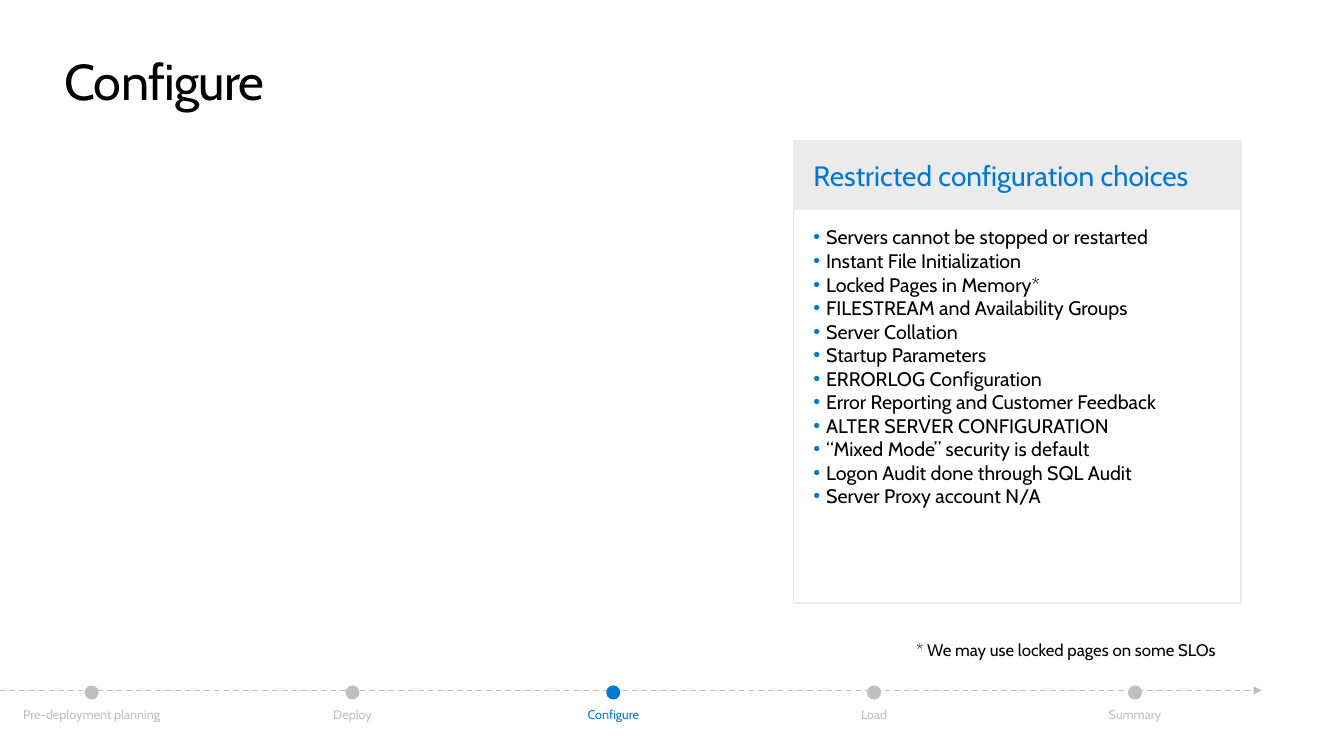
from pptx import Presentation
from pptx.dml.color import RGBColor
from pptx.enum.dml import MSO_LINE
from pptx.enum.shapes import MSO_CONNECTOR, MSO_SHAPE
from pptx.enum.text import MSO_ANCHOR, PP_ALIGN
from pptx.oxml.ns import qn
from pptx.util import Pt
from lxml.etree import SubElement

FONT = "Cabin"
COLORS = {"black": "000000", "white": "FFFFFF", "blue": "0078D4",
          "panel": "EBEBEB", "gray": "BFBFBF"}

RESTRICTIONS = [
    "Servers cannot be stopped or restarted",
    "Instant File Initialization",
    "Locked Pages in Memory*",
    "FILESTREAM and Availability Groups",
    "Server Collation",
    "Startup Parameters",
    "ERRORLOG Configuration",
    "Error Reporting and Customer Feedback",
    "ALTER SERVER CONFIGURATION",
    "“Mixed Mode” security is default",
    "Logon Audit done through SQL Audit",
    "Server Proxy account N/A",
]

STAGES = [("Pre-deployment planning", 136.8), ("Deploy", 77.8), ("Configure", 77.8),
          ("Load", 77.8), ("Summary", 77.8)]
CURRENT_STAGE = "Configure"
FIRST_STAGE_X, STAGE_STEP = 65.5, 186.3
DOT_SIZE = 10.1


def rgb(color):
    return RGBColor.from_string(COLORS[color])


def add_bullet(paragraph, color, indent):
    properties = paragraph._p.get_or_add_pPr()
    properties.set("marL", str(Pt(indent)))
    properties.set("indent", str(-Pt(indent)))
    bullet_color = SubElement(properties, qn("a:buClr"))
    SubElement(bullet_color, qn("a:srgbClr"), val=COLORS[color])
    SubElement(properties, qn("a:buFont"), typeface="Arial")
    SubElement(properties, qn("a:buChar"), char="•")


def write(frame, lines, size, color="black", align=PP_ALIGN.LEFT, anchor=MSO_ANCHOR.TOP,
          inset=(0, 0), wrap=True, bullet=None, tracking=None):
    frame.margin_left = frame.margin_right = Pt(inset[0])
    frame.margin_top = frame.margin_bottom = Pt(inset[1])
    frame.word_wrap = wrap
    frame.vertical_anchor = anchor
    for number, line in enumerate(lines):
        paragraph = frame.add_paragraph() if number else frame.paragraphs[0]
        paragraph.alignment = align
        if bullet:
            add_bullet(paragraph, bullet, indent=9)
        run = paragraph.add_run()
        run.text = line
        run.font.name = FONT
        run.font.size = Pt(size)
        run.font.color.rgb = rgb(color)
        if tracking:
            run.font._element.set("spc", str(int(tracking * 100)))


def add_label(slide, text, left, top, width, height, **text_format):
    label = slide.shapes.add_textbox(Pt(left), Pt(top), Pt(width), Pt(height))
    write(label.text_frame, [text], **text_format)


def add_filled(slide, kind, left, top, width, height, fill, outline=None):
    shape = slide.shapes.add_shape(kind, Pt(left), Pt(top), Pt(width), Pt(height))
    shape.shadow.inherit = False
    shape.fill.solid()
    shape.fill.fore_color.rgb = rgb(fill)
    if outline:
        shape.line.color.rgb = rgb(outline)
        shape.line.width = Pt(1)
    else:
        shape.line.fill.background()
    return shape


def add_panel(slide, heading, items, left, top, width, heading_height, body_height):
    header = add_filled(slide, MSO_SHAPE.RECTANGLE, left, top, width, heading_height,
                        "panel", "panel")
    write(header.text_frame, [heading], size=20, color="blue",
          anchor=MSO_ANCHOR.MIDDLE, inset=(14.4, 11.5))
    body = add_filled(slide, MSO_SHAPE.RECTANGLE, left, top + heading_height, width,
                      body_height, "white", "panel")
    write(body.text_frame, items, size=14, inset=(14.4, 11.5), bullet="blue")


def add_timeline_arrow(slide, end_x, y):
    arrow = slide.shapes.add_connector(MSO_CONNECTOR.STRAIGHT, Pt(0), Pt(y), Pt(end_x), Pt(y))
    arrow.line.color.rgb = rgb("gray")
    arrow.line.width = Pt(1)
    arrow.line.dash_style = MSO_LINE.DASH
    SubElement(arrow.line._get_or_add_ln(), qn("a:tailEnd"), type="triangle")
    SubElement(arrow._element.spPr, qn("a:effectLst"))


def add_stage(slide, name, center_x, label_width):
    color = "blue" if name == CURRENT_STAGE else "gray"
    add_filled(slide, MSO_SHAPE.OVAL, center_x - DOT_SIZE / 2, 489.6, DOT_SIZE, DOT_SIZE, color)
    add_label(slide, name, center_x - label_width / 2, 504.7, label_width, 10.8,
              size=9, color=color, align=PP_ALIGN.CENTER)


def main():
    deck = Presentation()
    deck.slide_width, deck.slide_height = Pt(960), Pt(540)
    slide = deck.slides.add_slide(deck.slide_layouts[6])

    add_label(slide, "Configure", 46, 36, 867.6, 43.9, size=36, tracking=-0.5)
    add_panel(slide, "Restricted configuration choices", RESTRICTIONS,
              left=566.7, top=100.8, width=319.7, heading_height=48.7, body_height=281.2)
    add_label(slide, "* We may use locked pages on some SLOs", 654.5, 457.2, 224.6, 14.4,
              size=12, wrap=False)

    add_timeline_arrow(slide, end_x=901.4, y=493.2)
    for number, (name, label_width) in enumerate(STAGES):
        add_stage(slide, name, FIRST_STAGE_X + number * STAGE_STEP, label_width)

    deck.save("out.pptx")


if __name__ == "__main__":
    main()
